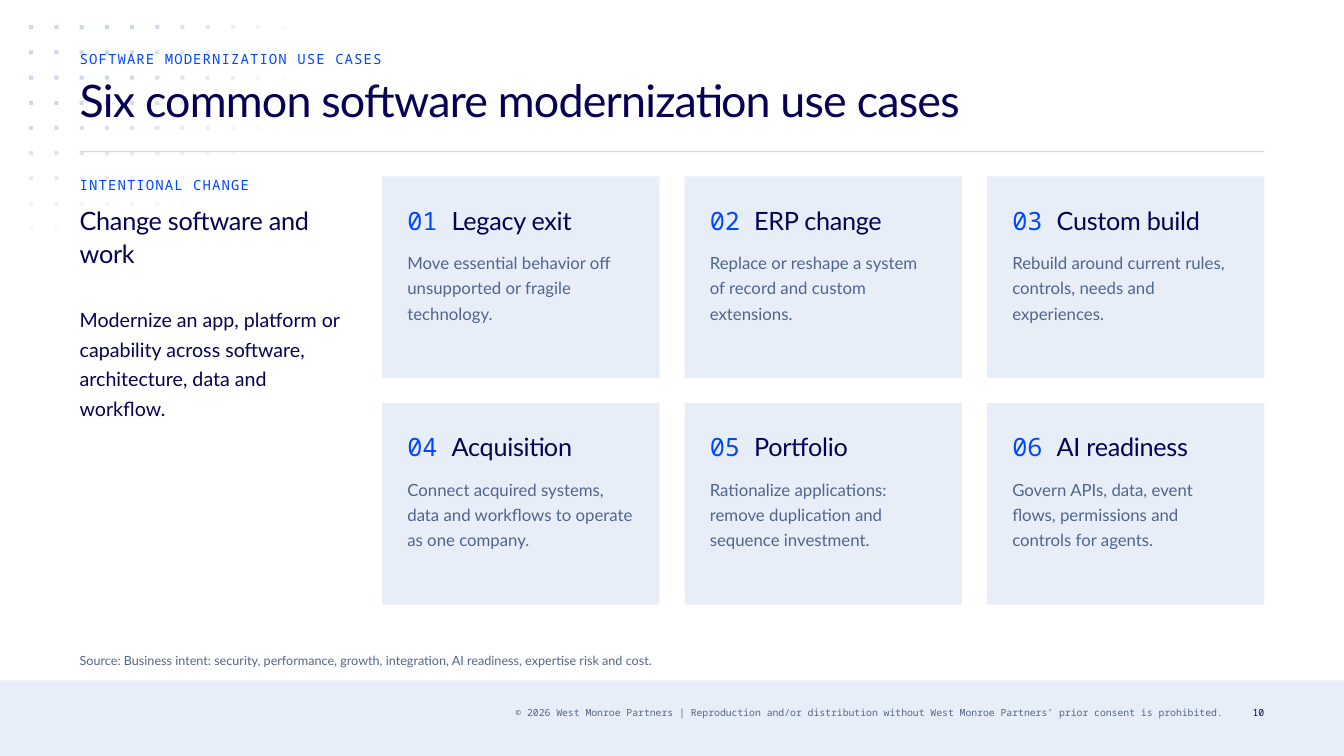
from math import hypot

from lxml import etree
from pptx import Presentation
from pptx.dml.color import RGBColor
from pptx.enum.shapes import MSO_SHAPE
from pptx.enum.text import MSO_ANCHOR, MSO_AUTO_SIZE, PP_ALIGN
from pptx.oxml.ns import qn
from pptx.util import Inches, Pt

RECT = MSO_SHAPE.RECTANGLE
TOP = MSO_ANCHOR.TOP
FIXED = MSO_AUTO_SIZE.NONE
LEFT = PP_ALIGN.LEFT
RIGHT = PP_ALIGN.RIGHT

NAVY = RGBColor(0x07, 0x01, 0x54)
BLUE = RGBColor(0x00, 0x47, 0xFF)
SLATE = RGBColor(0x50, 0x65, 0x8E)
MIST = RGBColor(0xE8, 0xEE, 0xF8)
RULE = RGBColor(0xCE, 0xD7, 0xE6)

SANS = "Lato"
MONO = "Noto Sans Mono"

WIDE, HIGH = 13.33, 7.5
STEP = 0.25
MARGIN = 0.79
EDGE = -MARGIN / STEP
SPAN = 47
COL = 11
PITCH = COL + 1
LABEL = 0.67

CARDS = [
    ("Legacy exit", "Move essential behavior off unsupported or fragile technology."),
    ("ERP change", "Replace or reshape a system of record and custom extensions."),
    ("Custom build", "Rebuild around current rules, controls, needs and experiences."),
    ("Acquisition", "Connect acquired systems, data and workflows to operate as one company."),
    ("Portfolio", "Rationalize applications: remove duplication and sequence investment."),
    ("AI readiness", "Govern APIs, data, event flows, permissions and controls for agents."),
]


class Deck:
    def __init__(self):
        self.file = Presentation()
        self.file.slide_width = Inches(WIDE)
        self.file.slide_height = Inches(HIGH)
        self.slide = self.file.slides.add_slide(self.file.slide_layouts[5])

    def place(self, x, y, w, h):
        return (Inches(MARGIN + x * STEP), Inches(y * STEP),
                Inches(w * STEP), Inches(h * STEP))

    def block(self, x, y, w, h, color, alpha=100):
        shape = self.slide.shapes.add_shape(RECT, *self.place(x, y, w, h))
        shape.shadow.inherit = False
        shape.fill.solid()
        shape.fill.fore_color.rgb = color
        shape.line.fill.background()
        if alpha < 100:
            tone = shape.element.spPr.find(".//" + qn("a:srgbClr"))
            etree.SubElement(tone, qn("a:alpha")).set("val", str(alpha * 1000))

    def style(self, shape, words, size, lead, color, font, track, align):
        frame = shape.text_frame
        frame.word_wrap = True
        frame.auto_size = FIXED
        frame.vertical_anchor = TOP
        frame.margin_left = frame.margin_right = 0
        frame.margin_top = frame.margin_bottom = 0
        para = frame.paragraphs[0]
        para.alignment = align
        para.line_spacing = Pt(lead)
        run = para.add_run()
        run.text = words
        run.font.size = Pt(size)
        run.font.name = font
        run.font.color.rgb = color
        if track:
            run._r.get_or_add_rPr().set("spc", str(track))

    def text(self, x, y, w, h, words, size, lead, color,
             font=SANS, track=0, align=LEFT):
        box = self.slide.shapes.add_textbox(*self.place(x, y, w, h))
        self.style(box, words, size, lead, color, font, track, align)

    def label(self, y, w, words):
        self.text(0, y, w, LABEL, words, 10, 12, BLUE, MONO, 80)

    def title(self, x, y, w, h, words):
        head = self.slide.shapes.title
        head.left, head.top, head.width, head.height = self.place(x, y, w, h)
        self.style(head, words, 32, 36, NAVY, SANS, -60, LEFT)
        self.slide.shapes.element.append(head.element)

    def dots(self):
        for col in range(12):
            for row in range(9):
                alpha = round(152 * (1 - hypot(col / 11.1, row / 9.07)))
                if alpha >= 2:
                    self.block(col - 2, row + 1, 0.16, 0.16, RULE, min(alpha, 100))

    def card(self, index, name, detail):
        row, col = divmod(index, 3)
        x, y = PITCH * (col + 1), 7 + 9 * row
        self.block(x, y, COL, 8, MIST)
        self.text(x + 1, y + 1, 1.25, 1.33, f"{index + 1:02}", 18, 24, BLUE, MONO)
        self.text(x + 2.76, y + 1, 7.24, 1.33, name, 18, 24, NAVY, track=-20)
        self.text(x + 1, y + 2.84, 9, 3, detail, 12, 18, SLATE)


def main():
    deck = Deck()
    deck.block(EDGE, 27, WIDE / STEP, 3, MIST)
    deck.dots()
    deck.block(0, 6, SPAN, 0.04, RULE)
    deck.text(6.36, 28, 39, 1,
              "© 2026 West Monroe Partners | Reproduction and/or distribution "
              "without West Monroe Partners’ prior consent is prohibited.",
              7, 9, SLATE, MONO, align=RIGHT)
    deck.label(2, SPAN, "SOFTWARE MODERNIZATION USE CASES")
    deck.title(0, 3, SPAN, 3, "Six common software modernization use cases")
    deck.text(0, 25.84, SPAN, LABEL,
              "Source: Business intent: security, performance, growth, "
              "integration, AI readiness, expertise risk and cost.",
              9, 12, SLATE)
    deck.text(45.68, 28, 1.32, 1, "10", 7, 9, NAVY, MONO, align=RIGHT)
    deck.label(7, COL, "INTENTIONAL CHANGE")
    deck.text(0, 8, COL, 3, "Change software and work", 18, 24, NAVY, track=-20)
    deck.text(0, 12, COL, 4.67,
              "Modernize an app, platform or capability across software, "
              "architecture, data and workflow.", 14, 21, NAVY)
    for index, (name, detail) in enumerate(CARDS):
        deck.card(index, name, detail)
    deck.file.save("out.pptx")


if __name__ == "__main__":
    main()
